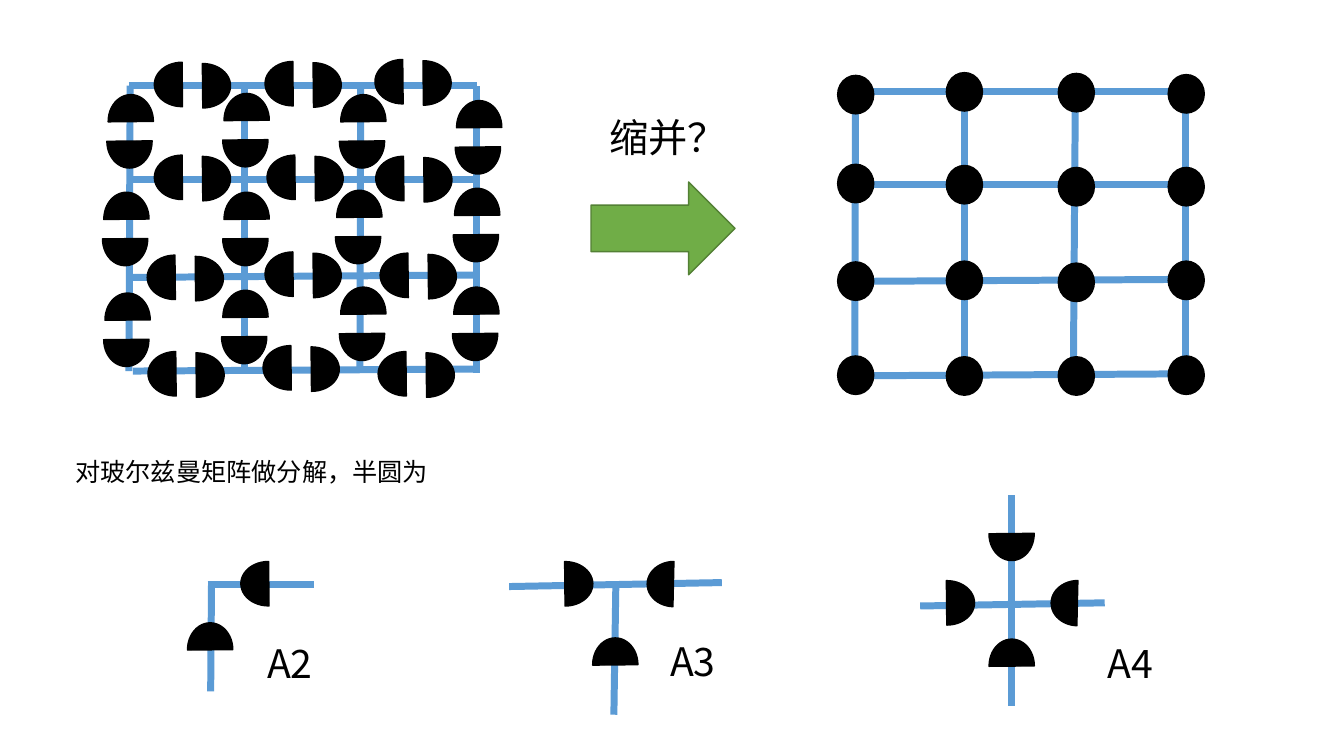
import lxml.etree
import pptx
import pptx.dml.color
import pptx.enum.shapes
import pptx.enum.text
import pptx.oxml.ns
import pptx.util

Cm = pptx.util.Cm
Pt = pptx.util.Pt
Preset = pptx.enum.shapes.MSO_SHAPE

THEME = {
    "font": "Noto Sans CJK SC",
    "bond": "5B9BD5",
    "tensor": "000000",
    "arrow": "70AD47",
    "arrow_edge": "538035",
    "text": "000000",
    "label_size": 28,
    "note_size": 18,
    "bond_width": 5,
    "edge_width": 1,
}

# Rotation, width, height and chord start of a half disc, by the way its dome faces
HALVES = {
    "left": (0, 1.40, 1.12, 53.32),
    "right": (180, 1.40, 1.12, 53.32),
    "up": (90, 1.35, 1.14, 53.32),
    "down": (270, 1.35, 1.14, 53.32),
    "left tilted": (0, 1.35, 1.14, 55.55),
}


def add_bond(group, x1, y1, x2, y2):
    bond = group.shapes.add_connector(
        pptx.enum.shapes.MSO_CONNECTOR.STRAIGHT, Cm(x1), Cm(y1), Cm(x2), Cm(y2))
    bond.line.color.rgb = pptx.dml.color.RGBColor.from_string(THEME["bond"])
    bond.line.width = Pt(THEME["bond_width"])
    properties = bond._element.spPr
    lxml.etree.SubElement(properties, pptx.oxml.ns.qn("a:effectLst"))


def add_solid(group, preset, x, y, width, height, rotation=0,
              fill="tensor", edge="tensor", cuts=()):
    """Add a filled preset shape; cuts are its adjustment values."""
    solid = group.shapes.add_shape(preset, Cm(x), Cm(y), Cm(width), Cm(height))
    solid.shadow.inherit = False
    solid.rotation = rotation
    solid.fill.solid()
    solid.fill.fore_color.rgb = pptx.dml.color.RGBColor.from_string(THEME[fill])
    solid.line.color.rgb = pptx.dml.color.RGBColor.from_string(THEME[edge])
    solid.line.width = Pt(THEME["edge_width"])
    for index, cut in enumerate(cuts):
        solid.adjustments[index] = cut


deck = pptx.Presentation()
deck.slide_width, deck.slide_height = Cm(33.87), Cm(19.05)
page = deck.slides.add_slide(deck.slide_layouts[6])

# Split lattice: every bond carries a pair of half discs
split_bonds = [
    (6.15, 9.35, 6.15, 2.16), (9.07, 9.35, 9.09, 2.16),
    (12.01, 9.40, 12.01, 2.16), (3.25, 9.35, 3.28, 2.16),
    (3.25, 2.16, 12.01, 2.16), (3.25, 4.52, 12.01, 4.52),
    (3.25, 6.99, 11.99, 6.93), (3.35, 9.35, 12.09, 9.30),
]
row_pairs = [
    (3.89, 1.57), (6.68, 1.55), (9.45, 1.50),
    (3.89, 3.91), (6.73, 3.91), (9.47, 3.94),
    (3.71, 6.43), (6.68, 6.35), (9.58, 6.38),
    (3.73, 8.86), (6.63, 8.71), (9.53, 8.86),
]
column_pairs = [
    (2.62, 2.49), (2.51, 4.95), (2.54, 7.49),
    (5.54, 2.46), (5.54, 4.95), (5.51, 7.42),
    (8.48, 2.49), (8.38, 4.90), (8.48, 7.34),
    (11.40, 2.64), (11.35, 4.85), (11.33, 7.34),
]
split_halves = []
for x, y in row_pairs:
    split_halves += [("left", x, y), ("right", x + 0.52, y + 0.03)]
for x, y in column_pairs:
    split_halves += [("up", x, y), ("down", x - 0.03, y + 0.5)]

# Corner, edge and inner vertices
corner_bonds = [(5.33, 14.73, 5.31, 17.42), (5.23, 14.73, 7.92, 14.73)]
corner_halves = [("left", 6.07, 14.15), ("up", 4.62, 15.80)]
edge_bonds = [(12.83, 14.78, 18.19, 14.68), (15.47, 18.01, 15.52, 14.73)]
edge_halves = [("right", 13.54, 14.15), ("left tilted", 16.31, 14.15),
               ("up", 14.83, 16.18)]
inner_bonds = [(23.19, 15.27, 27.84, 15.19), (25.50, 17.78, 25.50, 12.47)]
inner_halves = [("right", 23.16, 14.63), ("left tilted", 26.49, 14.63),
                ("up", 24.82, 16.21), ("down", 24.82, 12.88)]

for bonds, halves in [(split_bonds, split_halves), (corner_bonds, corner_halves),
                      (edge_bonds, edge_halves), (inner_bonds, inner_halves)]:
    group = page.shapes.add_group_shape()
    for bond in bonds:
        add_bond(group, *bond)
    for facing, x, y in halves:
        rotation, width, height, cut = HALVES[facing]
        add_solid(group, Preset.CHORD, x, y, width, height, rotation, cuts=(cut, 162))

add_solid(page, Preset.DOWN_ARROW, 15.54, 3.94, 2.34, 3.63, 270, "arrow", "arrow_edge")

# Contracted lattice: one disc per vertex
contracted = page.shapes.add_group_shape()
for bond in [
    (24.31, 9.42, 24.31, 2.31), (27.05, 9.42, 27.10, 2.31),
    (29.87, 9.47, 29.87, 2.31), (21.54, 9.42, 21.56, 2.31),
    (21.54, 2.31, 29.87, 2.31), (21.54, 4.65, 29.87, 4.65),
    (21.54, 7.09, 29.85, 7.04), (21.54, 9.47, 29.87, 9.42),
]:
    add_bond(contracted, *bond)
disc_columns = {
    21.11: (1.90, 4.14, 6.60, 8.97),
    23.85: (1.83, 4.17, 6.58, 8.99),
    26.67: (1.85, 4.22, 6.63, 8.99),
    29.44: (1.88, 4.22, 6.58, 8.97),
}
for x, tops in disc_columns.items():
    for y in tops:
        add_solid(contracted, Preset.OVAL, x, y, 0.91, 0.97)

for words, size, x, y, width, height in [
    ("A2", "label_size", 6.48, 15.98, 1.68, 1.45),
    ("A3", "label_size", 16.64, 15.93, 1.68, 1.45),
    ("A4", "label_size", 27.66, 15.98, 1.68, 1.45),
    ("缩并？", "label_size", 15.11, 2.72, 3.51, 1.45),
    ("对玻尔兹曼矩阵做分解，半圆为", "note_size", 1.65, 11.38, 9.50, 1.02),
]:
    box = page.shapes.add_textbox(Cm(x), Cm(y), Cm(width), Cm(height))
    box.text_frame.word_wrap = False
    box.text_frame.auto_size = pptx.enum.text.MSO_AUTO_SIZE.SHAPE_TO_FIT_TEXT
    para = box.text_frame.paragraphs[0]
    span = para.add_run()
    span.text = words
    for name, value in {"name": THEME["font"], "size": Pt(THEME[size])}.items():
        setattr(span.font, name, value)
    span.font.color.rgb = pptx.dml.color.RGBColor.from_string(THEME["text"])
    east_asian = lxml.etree.SubElement(
        span._r.get_or_add_rPr(), pptx.oxml.ns.qn("a:ea"))
    east_asian.set("typeface", THEME["font"])

deck.save("out.pptx")
